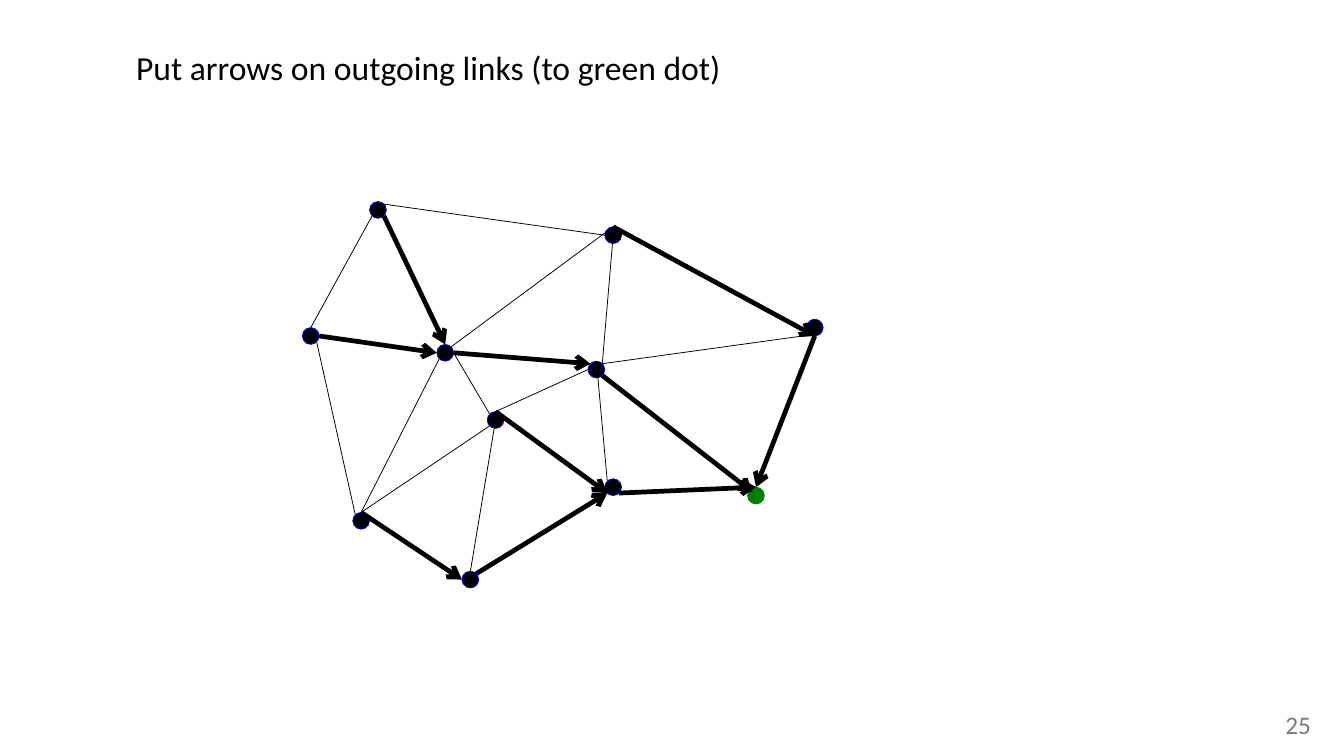
from lxml.etree import SubElement
from pptx import Presentation
from pptx.dml.color import RGBColor
from pptx.enum.shapes import MSO_CONNECTOR, MSO_SHAPE
from pptx.enum.text import MSO_ANCHOR, PP_ALIGN
from pptx.oxml.ns import qn
from pptx.util import Pt

PX = 10160  # EMU in one px, 90 px to the inch
SIZE = 1600, 900
DOT = 20
COLORS = {"ink": "000000", "rim": "0000FF", "goal": "008000", "page": "7A7A7A"}

# Left and top of each dot
DOTS = {
    "a": (440, 240), "b": (360, 390), "c": (720, 270), "d": (720, 570),
    "e": (550, 680), "f": (520, 410), "g": (960, 380), "h": (580, 490),
    "i": (420, 610), "j": (700, 430), "goal": (890, 580),
}

# Where a link meets a dot, as an offset from the centre
SITES = {
    "mid": (0, 0), "in": (-4, -4),
    "n": (0, -10), "ne": (7, -7), "w": (-10, 0), "nw": (-7, -7),
    "e": (10, 0), "se": (7, 7), "s": (0, 10), "sw": (-7, 7),
}

ARROWS = [
    ("a", "se", "f", "n"), ("j", "se", "goal", "in"), ("c", "n", "g", "s"),
    ("g", "s", "goal", "n"), ("i", "n", "e", "w"), ("h", "n", "d", "sw"),
    ("d", "se", "goal", "n"), ("f", "e", "j", "nw"), ("b", "e", "f", "w"),
    ("e", "ne", "d", "sw"),
]
LINKS = [
    ("a", "sw", "b", "n"), ("b", "se", "i", "nw"), ("f", "e", "h", "nw"),
    ("c", "mid", "j", "ne"), ("j", "n", "d", "nw"), ("h", "mid", "e", "n"),
    ("i", "n", "h", "sw"), ("i", "n", "f", "sw"), ("h", "n", "j", "w"),
    ("j", "ne", "g", "se"), ("a", "ne", "c", "w"), ("f", "ne", "c", "n"),
]

TEXTS = [
    ("Put arrows on outgoing links (to green dot)", (157, 0, 1288, 160),
     32, "ink", PP_ALIGN.LEFT, 5,
     {"word_wrap": True, "vertical_anchor": MSO_ANCHOR.MIDDLE}),
    ("25", (1525, 845, 41, 45), 24, "page", PP_ALIGN.CENTER, 0,
     {"word_wrap": False, "vertical_anchor": MSO_ANCHOR.TOP}),
]


def emu(*values):
    return [round(v * PX) for v in values]


def rgb(name):
    return RGBColor.from_string(COLORS[name])


def stroke(line, color, width):
    line.color.rgb = rgb(color)
    line.width = Pt(width)


def add_text(slide, text, box, size, color, align, inset, frame):
    body = slide.shapes.add_textbox(*emu(*box)).text_frame
    for side in ("left", "top", "right", "bottom"):
        setattr(body, f"margin_{side}", inset * PX)
    for key, value in frame.items():
        setattr(body, key, value)
    para = body.paragraphs[0]
    para.alignment = align
    run = para.add_run()
    run.text = text
    for key, value in {"name": "Calibri", "size": Pt(size)}.items():
        setattr(run.font, key, value)
    run.font.color.rgb = rgb(color)


def add_dot(slide, name):
    dot = slide.shapes.add_shape(MSO_SHAPE.OVAL, *emu(*DOTS[name], DOT, DOT))
    dot.shadow.inherit = False
    fill, rim = ("goal", "goal") if name == "goal" else ("ink", "rim")
    dot.fill.solid()
    dot.fill.fore_color.rgb = rgb(fill)
    stroke(dot.line, rim, 0.75)


def point(name, site):
    return [p + DOT / 2 + d for p, d in zip(DOTS[name], SITES[site])]


def add_link(slide, link, arrow):
    start, leave, end, enter = link
    line = slide.shapes.add_connector(
        MSO_CONNECTOR.STRAIGHT, *emu(*point(start, leave), *point(end, enter)))
    stroke(line.line, "ink", 4.5 if arrow else 0.75)
    if arrow:
        SubElement(line.line._get_or_add_ln(), qn("a:tailEnd"), type="arrow")
    SubElement(line._element.spPr, qn("a:effectLst"))


def main():
    deck = Presentation()
    deck.slide_width, deck.slide_height = emu(*SIZE)
    slide = deck.slides.add_slide(deck.slide_layouts[6])
    for name in DOTS:
        add_dot(slide, name)
    for links, arrow in ((LINKS, False), (ARROWS, True)):
        for link in links:
            add_link(slide, link, arrow)
    for text in TEXTS:
        add_text(slide, *text)
    deck.save("out.pptx")


if __name__ == "__main__":
    main()
